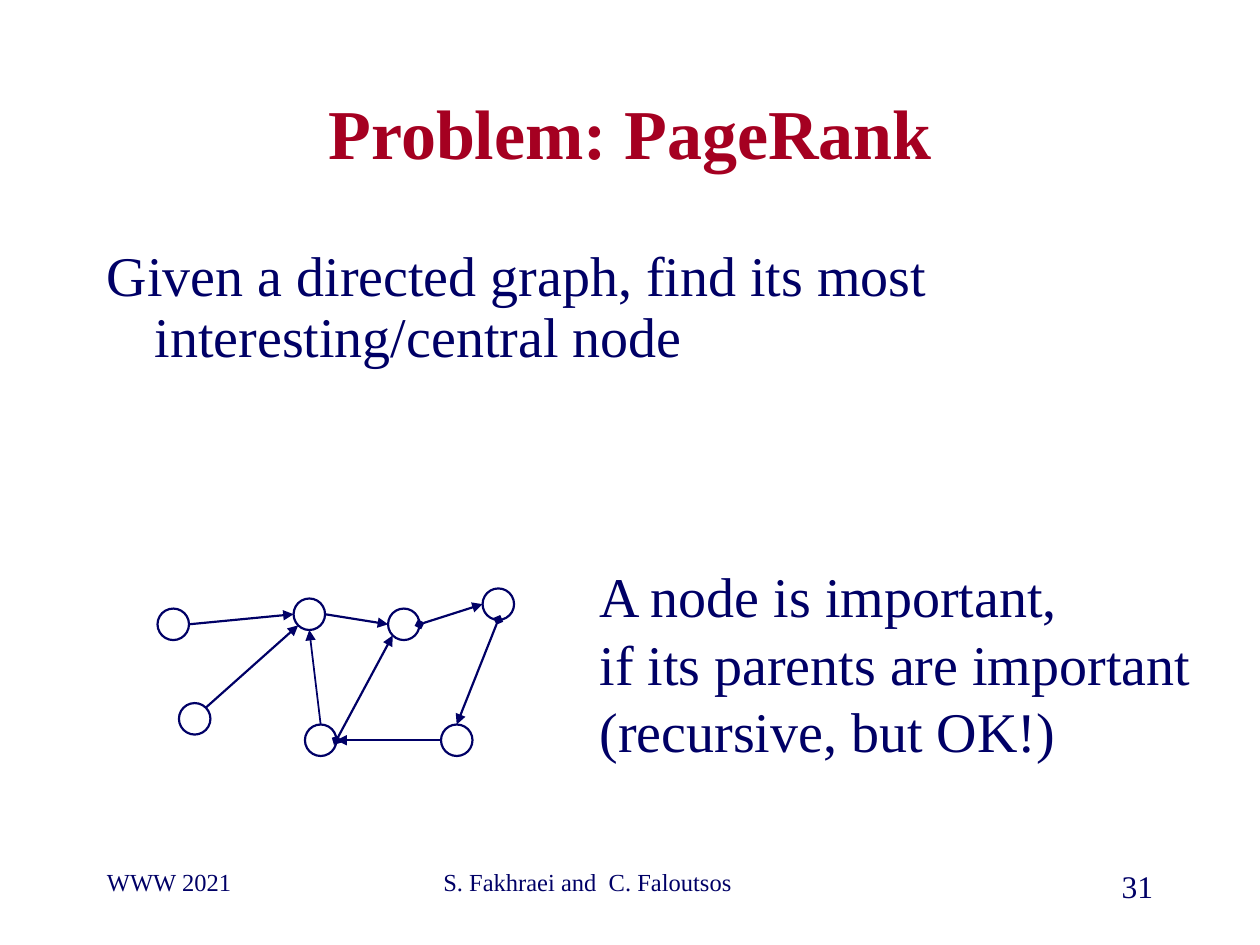
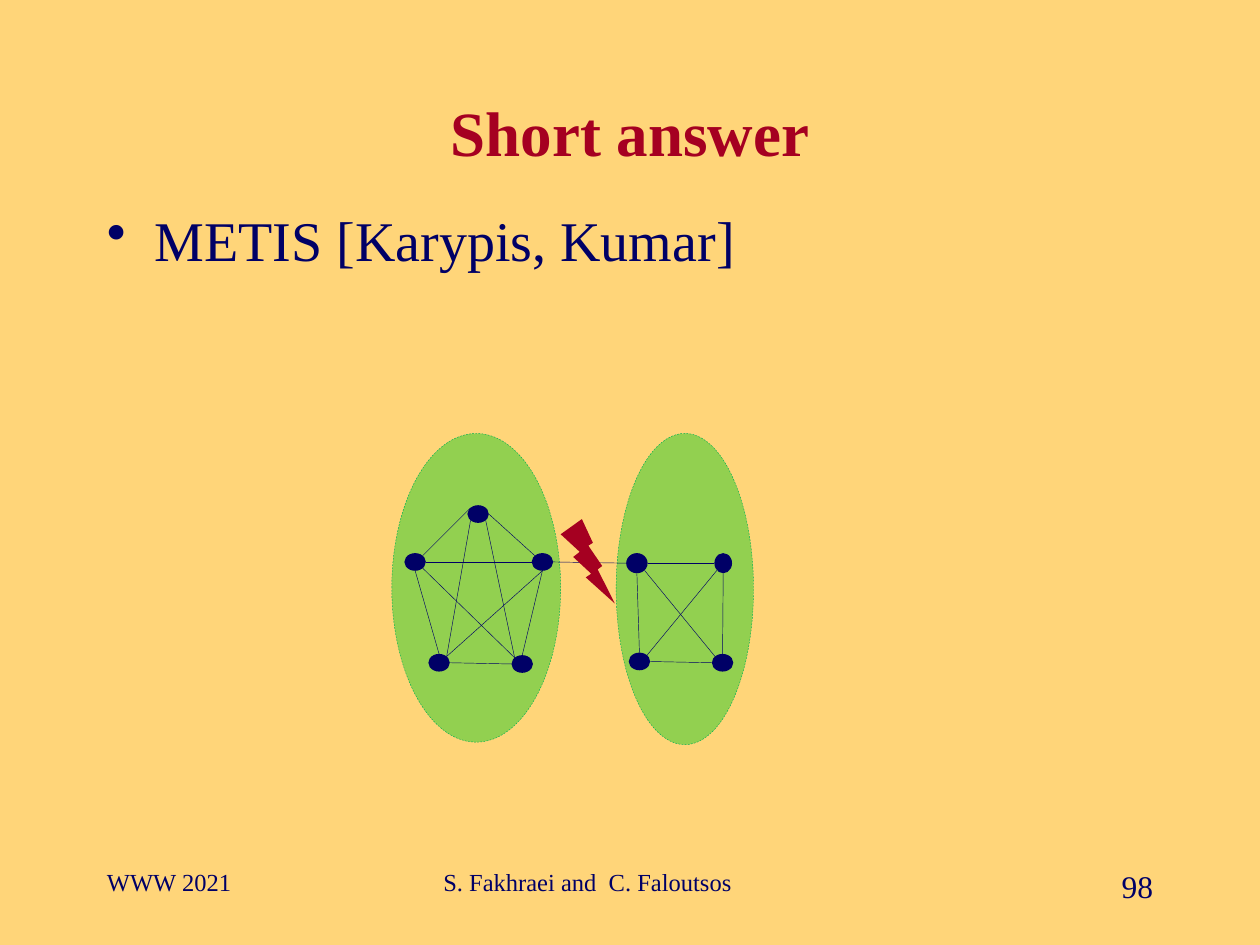
from typing import NamedTuple

from pptx import Presentation
from pptx.dml.color import RGBColor
from pptx.enum.dml import MSO_LINE
from pptx.enum.shapes import MSO_CONNECTOR, MSO_SHAPE
from pptx.enum.text import MSO_ANCHOR, PP_ALIGN
from pptx.oxml.ns import qn
from pptx.oxml.xmlchemy import OxmlElement
from pptx.util import Inches, Pt

OVAL = MSO_SHAPE.OVAL
BOLT = MSO_SHAPE.LIGHTNING_BOLT
STRAIGHT = MSO_CONNECTOR.STRAIGHT
DASH = MSO_LINE.DASH
TOP = MSO_ANCHOR.TOP
MIDDLE = MSO_ANCHOR.MIDDLE
LEFT = PP_ALIGN.LEFT
CENTER = PP_ALIGN.CENTER
RIGHT = PP_ALIGN.RIGHT

FONT = "Times New Roman"
NAVY = "000066"
RED = "A50021"
WHITE = "FFFFFF"
SAND = "FFD579"
LIME = "92D050"
GREEN = "00B050"

DIAG = 0.5 ** 0.5
SITES = {
    "t": (0, -1), "b": (0, 1), "l": (-1, 0), "r": (1, 0),
    "tl": (-DIAG, -DIAG), "tr": (DIAG, -DIAG),
    "bl": (-DIAG, DIAG), "br": (DIAG, DIAG),
}


class Box(NamedTuple):
    left: float
    top: float
    width: float
    height: float

    def site(self, side: str) -> tuple[float, float]:
        dx, dy = SITES[side]
        return (self.left + self.width * (1 + dx) / 2,
                self.top + self.height * (1 + dy) / 2)


class Style(NamedTuple):
    size: float = 32
    color: str = NAVY
    bold: bool = False
    align: PP_ALIGN = LEFT
    anchor: MSO_ANCHOR = TOP
    hang: float = 0
    bullet: str = ""
    pitch: float = 1


class Edge(NamedTuple):
    start: str
    out: str
    end: str
    into: str
    head: str = ""
    width: float = 1.25


TITLE = Box(0.75, 0.67, 8.5, 0.75)
FOOT = Style(14)
PAGE = Style(18, align=RIGHT)

RING = 0.25
WEB = {name: Box(x, y, RING, RING) for name, x, y in [
    ("A", 1.25, 4.83), ("B", 2.33, 4.75), ("C", 3.08, 4.83), ("D", 3.83, 4.67),
    ("E", 1.42, 5.58), ("F", 2.42, 5.75), ("G", 3.5, 5.75),
]}
LINKS = [
    Edge("A", "r", "B", "l"),
    Edge("B", "r", "C", "l"),
    Edge("C", "r", "D", "l", "diamond"),
    Edge("D", "b", "G", "t", "diamond"),
    Edge("G", "l", "F", "r"),
    Edge("F", "r", "C", "bl", "diamond"),
    Edge("F", "t", "B", "b", width=1),
    Edge("E", "tr", "B", "bl"),
]

HALVES = [Box(4.89, 3.44, 1.09, 2.47), Box(3.11, 3.44, 1.34, 2.45)]
DOTS = {
    "peak": Box(3.71, 4.01, 0.17, 0.14),
    "west": Box(3.21, 4.39, 0.17, 0.14),
    "east": Box(4.22, 4.39, 0.17, 0.14),
    "foot": Box(3.4, 5.19, 0.17, 0.14),
    "heel": Box(4.06, 5.2, 0.17, 0.14),
    "nw": Box(4.97, 4.39, 0.17, 0.16),
    "ne": Box(5.67, 4.39, 0.14, 0.16),
    "sw": Box(4.99, 5.18, 0.17, 0.14),
    "se": Box(5.65, 5.19, 0.17, 0.14),
}
TIES = [Edge(*ends, width=0.25) for ends in [
    ("peak", "r", "east", "tl"), ("peak", "br", "heel", "tl"),
    ("peak", "bl", "foot", "tr"), ("peak", "tl", "west", "tr"),
    ("west", "r", "east", "l"), ("east", "b", "heel", "t"),
    ("foot", "r", "heel", "l"), ("west", "b", "foot", "t"),
    ("west", "br", "heel", "tl"), ("east", "b", "foot", "tr"),
    ("nw", "r", "ne", "l"), ("ne", "b", "se", "t"),
    ("sw", "r", "se", "l"), ("nw", "b", "sw", "t"),
    ("nw", "br", "se", "tl"), ("ne", "bl", "sw", "tr"),
    ("east", "r", "nw", "l"),
]]


def paint(code: str) -> RGBColor:
    return RGBColor.from_string(code)


def write(slide, box: Box, lines: list[str], style: Style) -> None:
    frame = slide.shapes.add_textbox(*map(Inches, box)).text_frame
    frame.word_wrap = True
    frame.vertical_anchor = style.anchor
    for num, line in enumerate(lines):
        para = frame.add_paragraph() if num else frame.paragraphs[0]
        para.alignment = style.align
        para.line_spacing = style.pitch
        if style.hang:
            props = para._p.get_or_add_pPr()
            props.set("marL", str(Inches(style.hang)))
            props.set("indent", str(-Inches(style.hang)))
        if style.bullet:
            mark = OxmlElement("a:buChar")
            mark.set("char", style.bullet)
            props.append(mark)
        run = para.add_run()
        run.text = line
        run.font.name = FONT
        run.font.size = Pt(style.size)
        run.font.bold = style.bold
        run.font.color.rgb = paint(style.color)


def draw(slide, kind: MSO_SHAPE, box: Box, fill: str = "",
         line: str = "", width: float = 1.25, dash: MSO_LINE | None = None) -> None:
    shape = slide.shapes.add_shape(kind, *map(Inches, box))
    shape.shadow.inherit = False
    if fill:
        shape.fill.solid()
        shape.fill.fore_color.rgb = paint(fill)
    else:
        shape.fill.background()
    if line:
        shape.line.color.rgb = paint(line)
        shape.line.width = Pt(width)
        shape.line.dash_style = dash
    else:
        shape.line.fill.background()


def join(slide, nodes: dict[str, Box], edge: Edge, tail: str = "") -> None:
    ends = nodes[edge.start].site(edge.out) + nodes[edge.end].site(edge.into)
    wire = slide.shapes.add_connector(STRAIGHT, *map(Inches, ends))
    wire.line.color.rgb = paint(NAVY)
    wire.line.width = Pt(edge.width)
    props = wire._element.spPr
    for tag, kind in (("a:headEnd", edge.head), ("a:tailEnd", tail)):
        if kind:
            tip = OxmlElement(tag)
            tip.set("type", kind)
            props.find(qn("a:ln")).append(tip)
    props.append(OxmlElement("a:effectLst"))


def start(deck, back: str, title: str, size: float, page: str):
    slide = deck.slides.add_slide(deck.slide_layouts[6])
    slide.background.fill.solid()
    slide.background.fill.fore_color.rgb = paint(back)
    write(slide, TITLE, [title], Style(size, RED, True, CENTER, MIDDLE))
    write(slide, Box(0.75, 6.83, 2.08, 0.5), ["WWW 2021"], FOOT)
    write(slide, Box(3.42, 6.83, 3.17, 0.5), ["S. Fakhraei and  C. Faloutsos"], FOOT)
    write(slide, Box(7.17, 6.83, 2.08, 0.5), [page], PAGE)
    return slide


def problem(deck) -> None:
    slide = start(deck, WHITE, "Problem: PageRank", 40, "31")
    write(slide, Box(0.75, 1.92, 8.5, 4.5),
          ["Given a directed graph, find its most interesting/central node"],
          Style(hang=0.38, pitch=0.9))
    write(slide, Box(4.66, 4.41, 4.97, 1.72),
          ["A node is important,", "if its parents are important",
           "(recursive, but OK!)"], Style())
    for box in WEB.values():
        draw(slide, OVAL, box, line=NAVY)
    for edge in LINKS:
        join(slide, WEB, edge, "triangle")


def answer(deck) -> None:
    slide = start(deck, SAND, "Short answer", 36, "98")
    write(slide, Box(0.75, 1.58, 8.5, 5.08), ["METIS [Karypis, Kumar]"],
          Style(hang=0.38, bullet="•"))
    for box in HALVES:
        draw(slide, OVAL, box, LIME, GREEN, 0.25, DASH)
    for box in DOTS.values():
        draw(slide, OVAL, box, NAVY)
    for edge in TIES:
        join(slide, DOTS, edge)
    draw(slide, BOLT, Box(4.45, 4.12, 0.43, 0.67), RED)


def main() -> None:
    deck = Presentation()
    deck.slide_width = Inches(10)
    deck.slide_height = Inches(7.5)
    problem(deck)
    answer(deck)
    deck.save("out.pptx")


if __name__ == "__main__":
    main()
